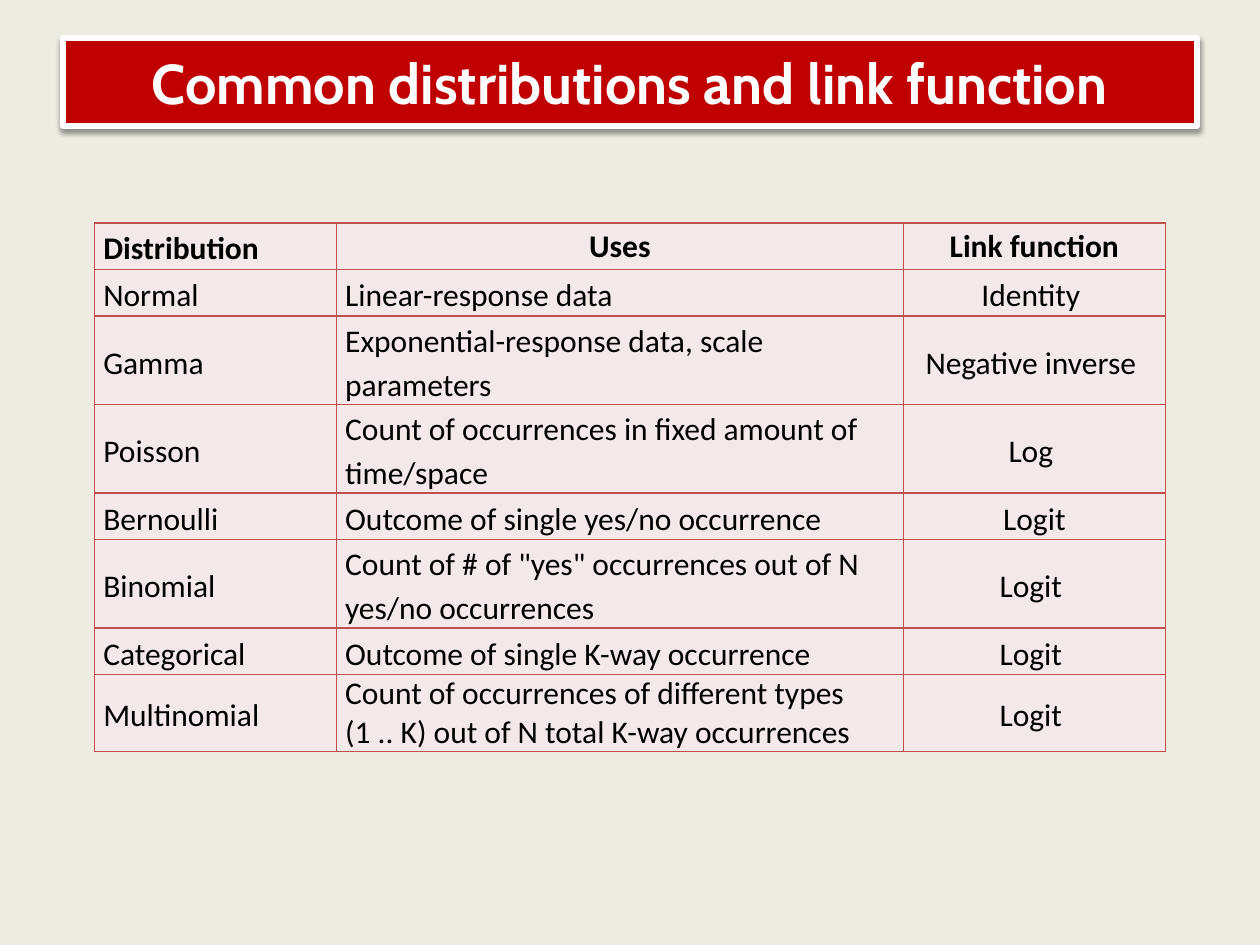
from typing import Any, NamedTuple

from lxml.etree import SubElement
from pptx import Presentation
from pptx.dml.color import RGBColor
from pptx.enum.shapes import MSO_SHAPE
from pptx.enum.text import MSO_ANCHOR, PP_ALIGN
from pptx.oxml import parse_xml
from pptx.oxml.ns import nsdecls, qn
from pptx.util import Pt

COLOURS = {
    "background": "EEECE1",
    "banner": "C00000",
    "white": "FFFFFF",
    "black": "000000",
    "cell": "F4E9E9",
    "border": "C0504D",
}

COLUMN_WIDTHS = (138.24, 324, 149.76)
ONE_LINE, TWO_LINES, TIGHT_LINES = 26.64, 48.24, 43.2
WIDE_SPACING, SINGLE_SPACING = 1.15, 1.0

TITLE_FONT = {"name": "Cabin", "size": Pt(32), "bold": True}
HEADER_FONT = {"name": "Calibri", "size": Pt(18), "bold": True}
BODY_FONT = {**HEADER_FONT, "bold": False}
CELL_FORMAT = {
    "margin_left": Pt(5.04),
    "margin_right": Pt(5.04),
    "margin_top": 0,
    "margin_bottom": 0,
    "vertical_anchor": MSO_ANCHOR.MIDDLE,
}


class DistributionRow(NamedTuple):
    distribution: str
    uses: str
    link: str
    height: float = ONE_LINE
    uses_spacing: float = WIDE_SPACING


HEADER = DistributionRow("Distribution", "Uses", "Link function")
ROWS = (
    DistributionRow("Normal", "Linear-response data", "Identity "),
    DistributionRow("Gamma", "Exponential-response data, scale parameters",
                    "Negative inverse ", TWO_LINES),
    DistributionRow("Poisson", "Count of occurrences in fixed amount of time/space",
                    "Log ", TWO_LINES),
    DistributionRow("Bernoulli", "Outcome of single yes/no occurrence", "Logit"),
    DistributionRow("Binomial", 'Count of # of "yes" occurrences out of N yes/no occurrences',
                    "Logit ", TWO_LINES),
    DistributionRow("Categorical", "Outcome of single K-way occurrence", "Logit "),
    DistributionRow("Multinomial",
                    "Count of occurrences of different types (1 .. K) out of N total K-way occurrences",
                    "Logit ", TIGHT_LINES, SINGLE_SPACING),
)


def colour(name: str) -> RGBColor:
    return RGBColor.from_string(COLOURS[name])


def apply_format(target: Any, values: dict[str, Any]) -> None:
    for name, value in values.items():
        setattr(target, name, value)


def paint(target: Any, name: str) -> None:
    target.fill.solid()
    target.fill.fore_color.rgb = colour(name)


def write(frame: Any, text: str, font: dict[str, Any], colour_name: str,
          alignment: PP_ALIGN, spacing: float = SINGLE_SPACING) -> None:
    paragraph = frame.paragraphs[0]
    apply_format(paragraph, {"alignment": alignment, "line_spacing": spacing})
    span = paragraph.add_run()
    span.text = text
    apply_format(span.font, font)
    span.font.color.rgb = colour(colour_name)


def add_shadow(shape: Any) -> None:
    shape.shadow.inherit = False
    effects = shape._element.spPr.find(qn("a:effectLst"))
    effects.append(parse_xml(
        f'<a:outerShdw {nsdecls("a")} blurRad="{Pt(3.1)}" dist="{Pt(1.6)}" '
        f'dir="5400000" rotWithShape="0"><a:srgbClr val="{COLOURS["black"]}">'
        '<a:alpha val="38000"/></a:srgbClr></a:outerShdw>'
    ))


def add_banner(page: Any, text: str) -> None:
    banner = page.shapes.add_shape(MSO_SHAPE.RECTANGLE, Pt(36), Pt(21.6), Pt(648), Pt(50.4))
    paint(banner, "banner")
    banner.line.color.rgb = colour("white")
    banner.line.width = Pt(3.5)
    add_shadow(banner)
    apply_format(banner.text_frame, {"word_wrap": True, "vertical_anchor": MSO_ANCHOR.MIDDLE})
    write(banner.text_frame, text, TITLE_FONT, "white", PP_ALIGN.CENTER)


def add_borders(cell: Any) -> None:
    properties = cell._tc.get_or_add_tcPr()
    for position, side in enumerate(("lnL", "lnR", "lnT", "lnB")):
        border = parse_xml(
            f'<a:{side} {nsdecls("a")} w="{Pt(1)}"><a:solidFill/></a:{side}>'
        )
        SubElement(border[0], qn("a:srgbClr"), val=COLOURS["border"])
        properties.insert(position, border)


def fill_cell(cell: Any, text: str, font: dict[str, Any],
              alignment: PP_ALIGN, spacing: float) -> None:
    apply_format(cell, CELL_FORMAT)
    paint(cell, "cell")
    add_borders(cell)
    write(cell.text_frame, text, font, "black", alignment, spacing)


def add_distribution_table(page: Any) -> None:
    rows = (HEADER, *ROWS)
    height = sum(row.height for row in rows)
    table = page.shapes.add_table(len(rows), len(COLUMN_WIDTHS), Pt(54), Pt(127.44),
                                  Pt(sum(COLUMN_WIDTHS)), Pt(height)).table
    apply_format(table, {"first_row": False, "horz_banding": False})
    for column, width in zip(table.columns, COLUMN_WIDTHS):
        column.width = Pt(width)
    for index, row in enumerate(rows):
        table.rows[index].height = Pt(row.height)
        is_header = row is HEADER
        font = HEADER_FONT if is_header else BODY_FONT
        uses_alignment = PP_ALIGN.CENTER if is_header else PP_ALIGN.LEFT
        uses_spacing = SINGLE_SPACING if is_header else row.uses_spacing
        link_spacing = SINGLE_SPACING if is_header else WIDE_SPACING
        distribution, uses, link = table.rows[index].cells
        fill_cell(distribution, row.distribution, font, PP_ALIGN.LEFT, WIDE_SPACING)
        fill_cell(uses, row.uses, font, uses_alignment, uses_spacing)
        fill_cell(link, row.link, font, PP_ALIGN.CENTER, link_spacing)
        if row.uses_spacing == SINGLE_SPACING:
            uses.vertical_anchor = MSO_ANCHOR.TOP


def main() -> None:
    deck = Presentation()
    apply_format(deck, {"slide_width": Pt(720), "slide_height": Pt(540)})
    page = deck.slides.add_slide(deck.slide_layouts[6])
    paint(page.background, "background")
    add_banner(page, "Common distributions and link function")
    add_distribution_table(page)
    deck.save("out.pptx")


if __name__ == "__main__":
    main()
